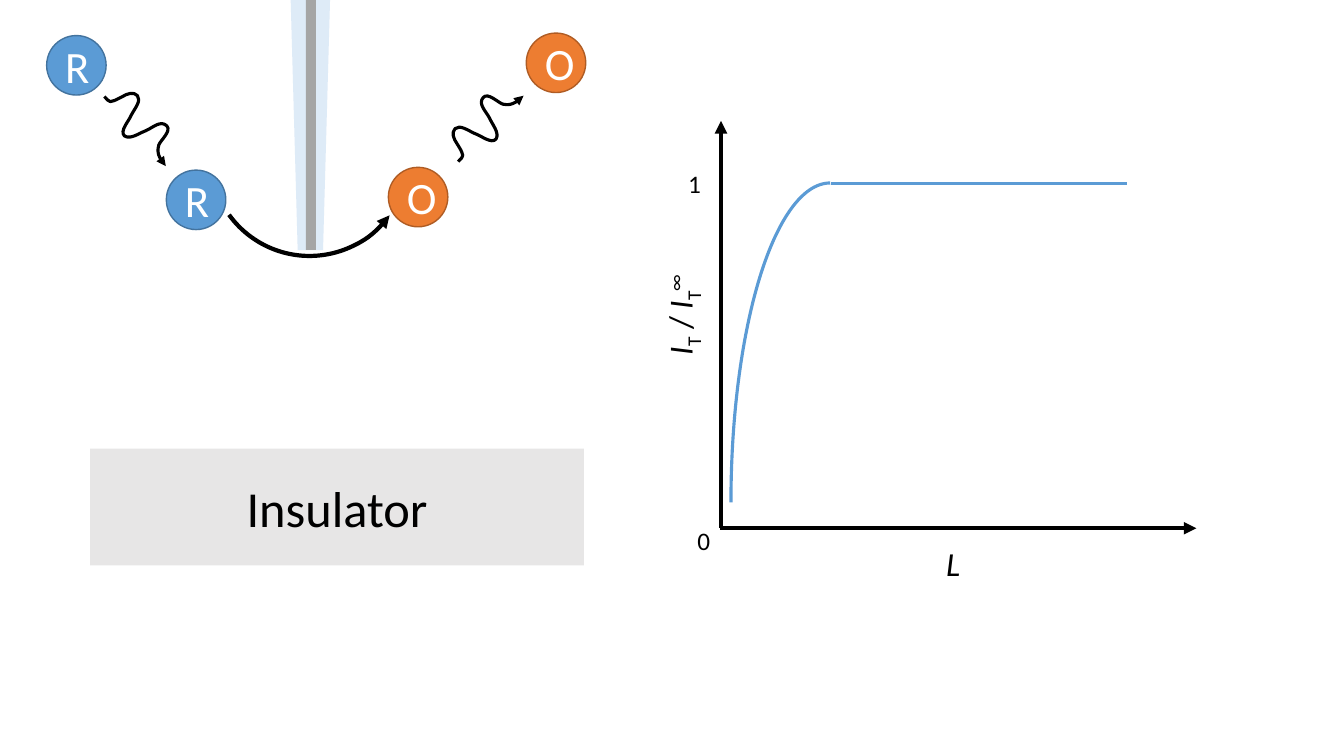
"""Build a slide on the tip current of an electrode approaching an insulator."""
import pptx
import pptx.dml.color
import pptx.enum.shapes
import pptx.enum.text
import pptx.oxml.ns
import pptx.util
from lxml import etree

Pt = pptx.util.Pt
qn = pptx.oxml.ns.qn
SHAPE = pptx.enum.shapes.MSO_SHAPE
COLORS = {
    "ink": "000000", "white": "FFFFFF", "insulator": "E7E6E6",
    "glass": "DEEBF7", "wire": "A5A5A5",
    "reduced": "5B9BD5", "reduced_edge": "43739E",
    "oxidized": "ED7D31", "oxidized_edge": "AF5C24",
}
SPECIES = [
    ("R", "reduced", 33.3, 25.4), ("O", "oxidized", 277.4, 119.5),
    ("R", "reduced", 118.8, 121.5), ("O", "oxidized", 375.9, 23.6),
]
WAVE_START = (0, 19.3)
WAVE_CURVES = [
    ((5.1, 19), (2.6, 19.7), (5.5, 18.5)),
    ((7.4, 15.3), (7.4, 14.4), (8.6, 9.7)),
    ((9.4, 5.6), (11.2, 1.3), (15.3, 1.2)),
    ((19.9, 1.4), (20.9, 9), (22.6, 13.5)),
    ((24.9, 18.4), (25.5, 27.6), (30.5, 27.3)),
    ((35.6, 26), (36.1, 17.8), (37.9, 13.6)),
    ((39.6, 8.4), (39.2, 0.3), (45.3, 0)),
    ((50.4, -0.3), (50, 9.9), (51.7, 13.4)),
    ((53.9, 16.4), (54.4, 16.8), (57.1, 18.2)),
    ((59.1, 19), (62.2, 19.9), (66.3, 19.7)),
]


def rgb(name):
    """Return the named colour."""
    return pptx.dml.color.RGBColor.from_string(COLORS[name])


def set_line(shape, color, width, arrow=False):
    """Style a line, with an arrowhead at its end if wanted."""
    shape.line.color.rgb = rgb(color)
    shape.line.width = Pt(width)
    if arrow:
        head = etree.SubElement(shape.line._get_or_add_ln(), qn("a:tailEnd"))
        head.set("type", "triangle")


def add_filled(page, kind, left, top, width, height, fill, edge=None):
    """Add a filled preset shape with an optional thin edge."""
    shape = page.shapes.add_shape(kind, Pt(left), Pt(top), Pt(width), Pt(height))
    shape.shadow.inherit = False
    shape.fill.solid()
    shape.fill.fore_color.rgb = rgb(fill)
    if edge:
        set_line(shape, edge, 1)
    else:
        shape.line.fill.background()
    return shape


def set_font(para, size, color):
    """Set the font of a paragraph."""
    para.font.name = "Calibri"
    para.font.size = Pt(size)
    para.font.color.rgb = rgb(color)


def set_caption(shape, text, size, color):
    """Write centred text into a shape."""
    shape.text_frame.vertical_anchor = pptx.enum.text.MSO_ANCHOR.MIDDLE
    para = shape.text_frame.paragraphs[0]
    para.text = text
    para.alignment = pptx.enum.text.PP_ALIGN.CENTER
    set_font(para, size, color)


def add_label(page, left, top, width, height, size, spans, wrap=True):
    """Add a label from spans of text, italic flag and baseline shift."""
    box = page.shapes.add_textbox(Pt(left), Pt(top), Pt(width), Pt(height))
    box.text_frame.word_wrap = wrap
    box.text_frame.auto_size = pptx.enum.text.MSO_AUTO_SIZE.SHAPE_TO_FIT_TEXT
    para = box.text_frame.paragraphs[0]
    set_font(para, size, "ink")
    for text, italic, baseline in spans:
        span = para.add_run()
        span.text = text
        if italic:
            span.font.italic = True
        if baseline:
            span.font._element.set("baseline", str(baseline * 1000))
    return box


def add_straight(page, start, end, color, width, arrow=False):
    """Add a straight line between two points."""
    straight = pptx.enum.shapes.MSO_CONNECTOR.STRAIGHT
    line = page.shapes.add_connector(straight, *map(Pt, start + end))
    set_line(line, color, width, arrow)
    etree.SubElement(line._element.spPr, qn("a:effectLst"))


def add_arc(page, left, top, width, height, rotation, color, size, arrow=False):
    """Add an open arc."""
    arc = page.shapes.add_shape(SHAPE.ARC, Pt(left), Pt(top), Pt(width), Pt(height))
    arc.shadow.inherit = False
    arc.rotation = rotation
    arc.fill.background()
    set_line(arc, color, size, arrow)
    return arc


def add_wavy_arrow(page, left, top, rotation):
    """Add a curved diffusion arrow."""
    builder = page.shapes.build_freeform(*map(Pt, WAVE_START))
    ends = [tuple(map(Pt, curve[-1])) for curve in WAVE_CURVES]
    builder.add_line_segments(ends, close=False)
    arrow = builder.convert_to_shape(Pt(left), Pt(top))
    segments = list(arrow._element.iter(qn("a:lnTo")))
    for segment, curve in zip(segments, WAVE_CURVES):
        bend = etree.Element(qn("a:cubicBezTo"))
        for x, y in curve:
            etree.SubElement(bend, qn("a:pt"), x=str(Pt(x)), y=str(Pt(y)))
        segment.getparent().replace(segment, bend)
    arrow.rotation = rotation
    arrow.shadow.inherit = False
    arrow.fill.background()
    set_line(arrow, "ink", 2.25, arrow=True)


def add_graph(page):
    """Add the approach curve with its axes and labels."""
    add_straight(page, (515, 377.3), (515, 86.4), "ink", 3, arrow=True)
    add_straight(page, (514, 377.3), (854.6, 377.3), "ink", 3, arrow=True)
    current = [("I", True, 0), ("T", False, -25), (" / ", False, 0),
               ("I", True, 0), ("T", False, -25), ("∞", False, 30)]
    axis_label = add_label(page, 447.1, 204.7, 76.3, 36, 24, current, wrap=False)
    axis_label.rotation = 270
    add_label(page, 668.7, 384.5, 31, 36, 24, [("L", True, 0)])
    add_straight(page, (805, 131), (593.3, 131), "reduced", 2.25)
    add_arc(page, 364.8, 288, 456.5, 141.8, 270, "reduced", 2.25)
    add_label(page, 484.4, 116.6, 31, 29, 18, [("1", False, 0)])
    add_label(page, 491, 372, 31, 29, 18, [("0", False, 0)])


def add_cell(page):
    """Add the electrode, the insulator and the reacting species."""
    add_filled(page, SHAPE.FLOWCHART_MANUAL_OPERATION, 206.6, -36.7, 30.2, 215.3, "glass")
    add_filled(page, SHAPE.RECTANGLE, 218.5, -36.7, 7.2, 215.3, "wire")
    insulator = add_filled(page, SHAPE.RECTANGLE, 64.4, 320.4, 352.8, 83.5, "insulator")
    set_caption(insulator, "Insulator", 36, "ink")
    transfer = add_arc(page, 150.2, 41, 141.8, 141.8, 36.2, "ink", 3, arrow=True)
    transfer.adjustments[0] = 151.22
    transfer.adjustments[1] = 0
    transfer._element.spPr.find(qn("a:xfrm")).set("flipV", "1")
    for letter, color, left, top in SPECIES:
        ball = add_filled(page, SHAPE.OVAL, left, top, 42.5, 42.5, color, color + "_edge")
        set_caption(ball, letter, 32, "white")
    add_wavy_arrow(page, 67.7, 76.3, 48.2)
    add_wavy_arrow(page, 313.3, 74.2, 314.4)


def main():
    """Build and save the deck."""
    deck = pptx.Presentation()
    deck.slide_width, deck.slide_height = Pt(960), Pt(540)
    page = deck.slides.add_slide(deck.slide_layouts[6])
    add_graph(page)
    add_cell(page)
    deck.save("out.pptx")


if __name__ == "__main__":
    main()
